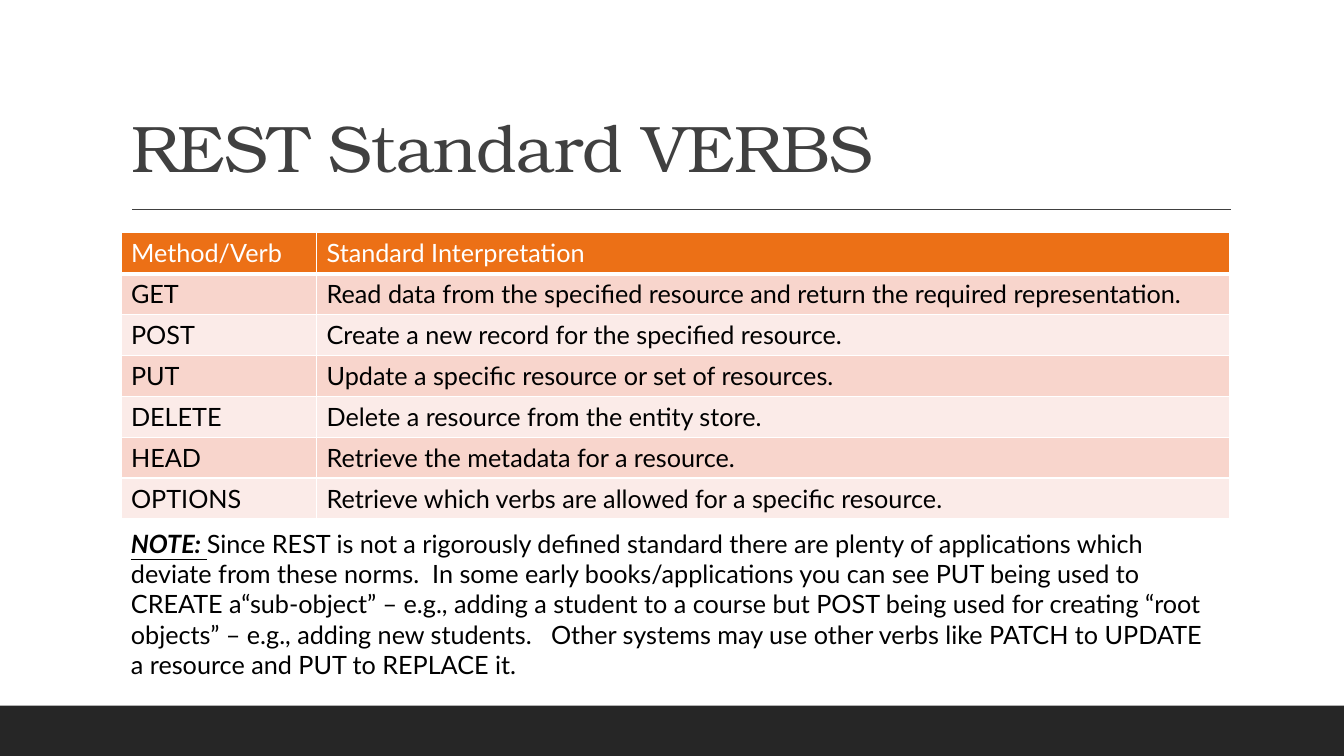
from dataclasses import dataclass

from lxml import etree
from pptx import Presentation
from pptx.dml.color import RGBColor
from pptx.enum.shapes import MSO_CONNECTOR, MSO_SHAPE
from pptx.enum.text import MSO_ANCHOR, MSO_AUTO_SIZE, PP_ALIGN
from pptx.oxml.ns import qn
from pptx.slide import Slide
from pptx.table import _Cell
from pptx.util import Inches, Pt

RECT = MSO_SHAPE.RECTANGLE
STRAIGHT = MSO_CONNECTOR.STRAIGHT
BOTTOM = MSO_ANCHOR.BOTTOM
LEFT = PP_ALIGN.LEFT
NO_FIT = MSO_AUTO_SIZE.NONE
GROW = MSO_AUTO_SIZE.SHAPE_TO_FIT_TEXT

COLORS = {
    "bar": "262626",
    "title": "404040",
    "head": "EC7016",
    "odd": "F8D5CC",
    "even": "FBEBE8",
    "white": "FFFFFF",
    "black": "000000",
}
TITLE_FONT = "TeX Gyre Bonum"
BODY_FONT = "Lato"
EDGE = 1.2
WIDTHS = (1.94, 9.06)
ROW_HEIGHT = 2.84 / 7

NOTE = (
    "Since REST is not a rigorously defined standard there are plenty of applications "
    "which deviate from these norms.  In some early books/applications you can see PUT "
    "being used to CREATE a“sub-object” – e.g., adding a student to a course but POST "
    "being used for creating “root objects” – e.g., adding new students.   Other systems "
    "may use other verbs like PATCH to UPDATE a resource and PUT to REPLACE it."
)


@dataclass(frozen=True)
class Verb:
    name: str
    meaning: str


VERBS = (
    Verb("GET", "Read data from the specified resource and return the required representation."),
    Verb("POST", "Create a new record for the specified resource."),
    Verb("PUT", "Update a specific resource or set of resources."),
    Verb("DELETE", "Delete a resource from the entity store."),
    Verb("HEAD", "Retrieve the metadata for a resource."),
    Verb("OPTIONS", "Retrieve which verbs are allowed for a specific resource."),
)


def color(name: str) -> RGBColor:
    return RGBColor.from_string(COLORS[name])


def style(font, face: str, size: float, ink: str) -> None:
    font.name = face
    font.size = Pt(size)
    font.color.rgb = color(ink)


def draw_frame(slide: Slide) -> None:
    bar = slide.shapes.add_shape(RECT, 0, Inches(7), Inches(13.33), Inches(0.5))
    bar.shadow.inherit = False
    bar.fill.solid()
    bar.fill.fore_color.rgb = color("bar")
    bar.line.fill.background()
    rule = slide.shapes.add_connector(
        STRAIGHT, Inches(1.31), Inches(2.08), Inches(12.21), Inches(2.08)
    )
    rule.line.color.rgb = color("title")
    rule.line.width = Pt(1)
    etree.SubElement(rule._element.spPr, qn("a:effectLst"))


def draw_title(slide: Slide) -> None:
    title = slide.shapes.title
    title.left, title.top = Inches(EDGE), Inches(0.31)
    title.width, title.height = Inches(11), Inches(1.59)
    frame = title.text_frame
    frame.text = "REST Standard VERBS"
    frame.auto_size = NO_FIT
    frame.word_wrap = True
    frame.vertical_anchor = BOTTOM
    line = frame.paragraphs[0]
    line.alignment = LEFT
    line.line_spacing = 0.9
    style(line.font, TITLE_FONT, 47, "title")
    line.runs[0]._r.get_or_add_rPr().set("spc", "-50")


def add_borders(cell: _Cell, bottom: float) -> None:
    props = cell._tc.get_or_add_tcPr()
    for side, width in (("L", 1), ("R", 1), ("T", 1), ("B", bottom)):
        edge = etree.SubElement(props, qn(f"a:ln{side}"), w=str(Pt(width)))
        fill = etree.SubElement(edge, qn("a:solidFill"))
        etree.SubElement(fill, qn("a:srgbClr"), val=COLORS["white"])


def fill_cell(cell: _Cell, text: str, fill: str, ink: str, bottom: float) -> None:
    cell.text = text
    font = cell.text_frame.paragraphs[0].font
    style(font, BODY_FONT, 18, ink)
    font.bold = False
    add_borders(cell, bottom)
    cell.fill.solid()
    cell.fill.fore_color.rgb = color(fill)


def draw_table(slide: Slide) -> None:
    rows = (Verb("Method/Verb", "Standard Interpretation"), *VERBS)
    table = slide.shapes.add_table(
        len(rows), len(WIDTHS), Inches(EDGE), Inches(2.31),
        Inches(sum(WIDTHS)), Inches(ROW_HEIGHT * len(rows)),
    ).table
    for column, width in zip(table.columns, WIDTHS):
        column.width = Inches(width)
    for index, verb in enumerate(rows):
        table.rows[index].height = Inches(ROW_HEIGHT)
        if index == 0:
            fill, ink, bottom = "head", "white", 3
        else:
            fill, ink, bottom = "odd" if index % 2 else "even", "black", 1
        for place, text in enumerate((verb.name, verb.meaning)):
            fill_cell(table.cell(index, place), text, fill, ink, bottom)


def draw_note(slide: Slide) -> None:
    box = slide.shapes.add_textbox(Inches(EDGE), Inches(5.19), Inches(10.88), Inches(1.62))
    frame = box.text_frame
    frame.word_wrap = True
    frame.auto_size = GROW
    line = frame.paragraphs[0]
    style(line.font, BODY_FONT, 18, "black")
    label = line.add_run()
    label.text = "NOTE: "
    label.font.bold = label.font.italic = label.font.underline = True
    line.add_run().text = NOTE


def main() -> None:
    deck = Presentation()
    deck.slide_width, deck.slide_height = Inches(13.33), Inches(7.5)
    slide = deck.slides.add_slide(deck.slide_layouts[5])
    draw_frame(slide)
    draw_title(slide)
    draw_table(slide)
    draw_note(slide)
    deck.save("out.pptx")


if __name__ == "__main__":
    main()
